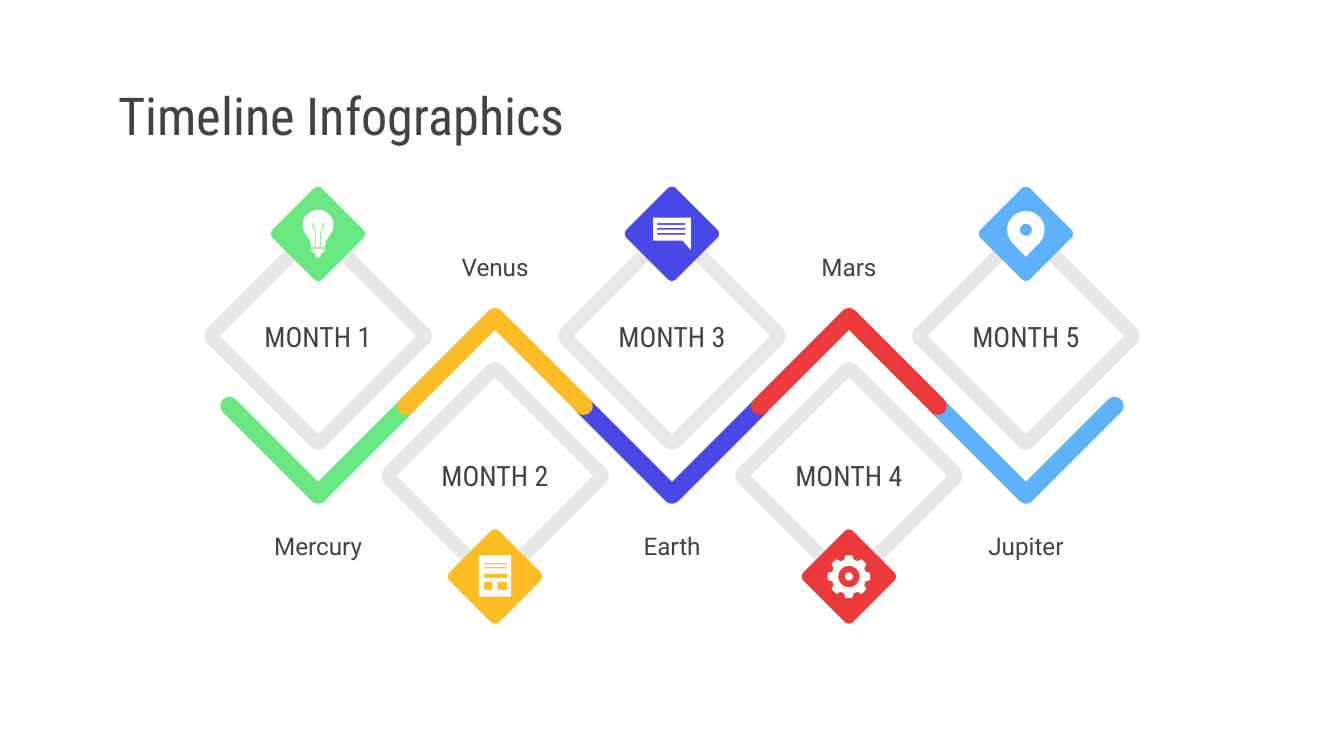
from math import cos, radians, sin

from pptx import Presentation
from pptx.dml.color import RGBColor
from pptx.enum.text import MSO_ANCHOR, PP_ALIGN
from pptx.util import Pt

PX = 9144
SLIDE_WIDTH = 1000
MIDDLE = MSO_ANCHOR.MIDDLE
LEFT, CENTER = PP_ALIGN.LEFT, PP_ALIGN.CENTER
TITLE_ONLY = 5
INK, WHITE, GREY = "434343", "FFFFFF", "E7E7E7"
COLUMN_STEP = 131.67
ARM, HALF_STROKE = 66, 6.7


def rgb(value):
    """Turn a hex string into a colour."""
    return RGBColor.from_string(value)


def arc(center_x, center_y, radius, start, end, steps=16):
    """Return points along an arc, with angles in degrees clockwise from the right."""
    angles = [radians(start + (end - start) * i / steps) for i in range(steps + 1)]
    return [(center_x + radius * cos(a), center_y + radius * sin(a)) for a in angles]


def rectangle(left, top, right, bottom):
    """Return the corners of a rectangle."""
    return [(left, top), (right, top), (right, bottom), (left, bottom)]


def diamond(half, radius):
    """Return a diamond with rounded tips around the origin."""
    points = []
    for turn in range(0, 360, 90):
        x, y = (half - radius) * cos(radians(turn)), (half - radius) * sin(radians(turn))
        points += arc(x, y, radius, turn - 45, turn + 45, 8)
    return points


def chevron(direction):
    """Return a thick round-ended V, pointing down for 1 and up for -1."""
    points = arc(-ARM, 0, HALF_STROKE, -45, -225)
    points += arc(0, ARM, HALF_STROKE, 135, 45)
    points += arc(ARM, 0, HALF_STROKE, 45, -135)
    points.append((0, ARM - HALF_STROKE * 1.41))
    return [(x, y * direction) for x, y in points]


def bulb_icon():
    """Return the glass with its filaments, and the screw base."""
    glass = arc(0, -6.5, 11.5, 145, 395) + [(6, 5), (5, 10), (-5, 10), (-6, 5)]
    wire = [(-5, -8), (-4, -8), (-1.5, -1), (-1.5, 10), (-2, 10), (-2, -1)]
    mirrored = [(-x, y) for x, y in wire]
    base = [(-5, 11), (5, 11), (5, 13), (2, 15), (2, 17), (0, 18), (-2, 17), (-2, 15), (-5, 13)]
    return [[glass, wire, mirrored], [base]]


def chat_icon():
    """Return a speech bubble with three text lines."""
    bubble = [(-14, -12), (14, -12), (14, 12), (8, 5), (-14, 5)]
    lines = [rectangle(-11, y, 10, y + 1.3) for y in (-8, -4.3, -0.6)]
    return [[bubble] + lines]


def page_icon():
    """Return a page with text lines and two pictures."""
    boxes = [(-12, -16, 12, 15), (-8, -10, 9, -9), (-8, -7, 9, -6),
             (-8, -2, 9, 1), (-8, 4, -2, 10), (2, 4, 9, 10)]
    return [[rectangle(*box) for box in boxes]]


def gear_icon():
    """Return an eight-toothed wheel and its hub."""
    wheel = []
    for tooth in range(0, 360, 45):
        for offset, radius in ((-16, 13), (-9, 16), (9, 16), (16, 13)):
            angle = radians(tooth + offset)
            wheel.append((radius * cos(angle), radius * sin(angle)))
    return [[wheel, arc(0, 0, 8, 0, 360)], [arc(0, 0, 3, 0, 360)]]


def pin_icon():
    """Return a map pin."""
    return [[arc(0, -3, 14, 135, 405) + [(0, 17)], arc(0, -3, 4.5, 0, 360)]]


MONTHS = [
    ("MONTH 1", "Mercury", "69E781", bulb_icon),
    ("MONTH 2", "Venus", "FCBD24", page_icon),
    ("MONTH 3", "Earth", "4949E7", chat_icon),
    ("MONTH 4", "Mars", "EC3A3B", gear_icon),
    ("MONTH 5", "Jupiter", "5EB2FC", pin_icon),
]


def add_outline(shapes, center_x, center_y, contours, color):
    """Draw closed contours around a centre as one filled shape."""
    placed = [[((center_x + x) * PX, (center_y + y) * PX) for x, y in contour]
              for contour in contours]
    builder = shapes.build_freeform(*placed[0][0], scale=1.0)
    builder.add_line_segments(placed[0][1:])
    for contour in placed[1:]:
        builder.move_to(*contour[0])
        builder.add_line_segments(contour[1:])
    shape = builder.convert_to_shape()
    shape.shadow.inherit = False
    shape.fill.solid()
    shape.fill.fore_color.rgb = rgb(color)
    shape.line.fill.background()
    return shape


def write(shape, text, size, font, alignment):
    """Set one line of text, centred vertically in its shape."""
    frame = shape.text_frame
    frame.word_wrap = True
    frame.vertical_anchor = MIDDLE
    frame.margin_left = frame.margin_right = 10 * PX
    frame.margin_top = frame.margin_bottom = 10 * PX
    frame.text = text
    paragraph = frame.paragraphs[0]
    paragraph.alignment = alignment
    paragraph.font.size = Pt(size)
    paragraph.font.name = font
    paragraph.font.color.rgb = rgb(INK)


def add_title(slide, left, top, width, height):
    """Place and format the slide title."""
    title = slide.shapes.title
    title.left, title.top, title.width, title.height = (
        v * PX for v in (left, top, width, height))
    write(title, "Timeline Infographics", 28, "Roboto Condensed", LEFT)


def add_month(slide, center_x, center_y, direction, month, planet, color, icon):
    """Draw one month around its diamond's centre; direction 1 has its badge on top."""
    shapes = slide.shapes.add_group_shape().shapes
    add_outline(shapes, center_x, center_y + 52 * direction, [chevron(direction)], color)
    add_outline(shapes, center_x, center_y, [diamond(84.5, 8.5)], GREY)
    face = add_outline(shapes, center_x, center_y, [[(0, -73), (73, 0), (0, 73), (-73, 0)]], WHITE)
    write(face, month, 15, "Roboto Condensed", CENTER)
    badge_y = center_y - 76 if direction > 0 else center_y + 75
    add_outline(shapes, center_x, badge_y, [diamond(35, 4.5)], color)
    for contours in icon():
        add_outline(shapes, center_x, badge_y, contours, WHITE)
    label_top = center_y + 156 * direction - 23
    label = shapes.add_textbox(round((center_x - 57.5) * PX), label_top * PX, 115 * PX, 47 * PX)
    write(label, planet, 13, "Roboto", CENTER)


def add_timeline(slide, center_x, upper_y, lower_y):
    """Draw the months in a zigzag, the lower ones in front."""
    for index in (0, 2, 4, 1, 3):
        x = center_x + (index - 2) * COLUMN_STEP
        y, direction = (lower_y, -1) if index % 2 else (upper_y, 1)
        add_month(slide, x, y, direction, *MONTHS[index])


def main():
    """Build and save the presentation."""
    presentation = Presentation()
    presentation.slide_width = SLIDE_WIDTH * PX
    presentation.slide_height = SLIDE_WIDTH * PX * 9 // 16
    slide = presentation.slides.add_slide(presentation.slide_layouts[TITLE_ONLY])
    add_title(slide, 78, 59, 845, 53)
    add_timeline(slide, 500, 250, 354)
    presentation.save("out.pptx")


if __name__ == "__main__":
    main()
